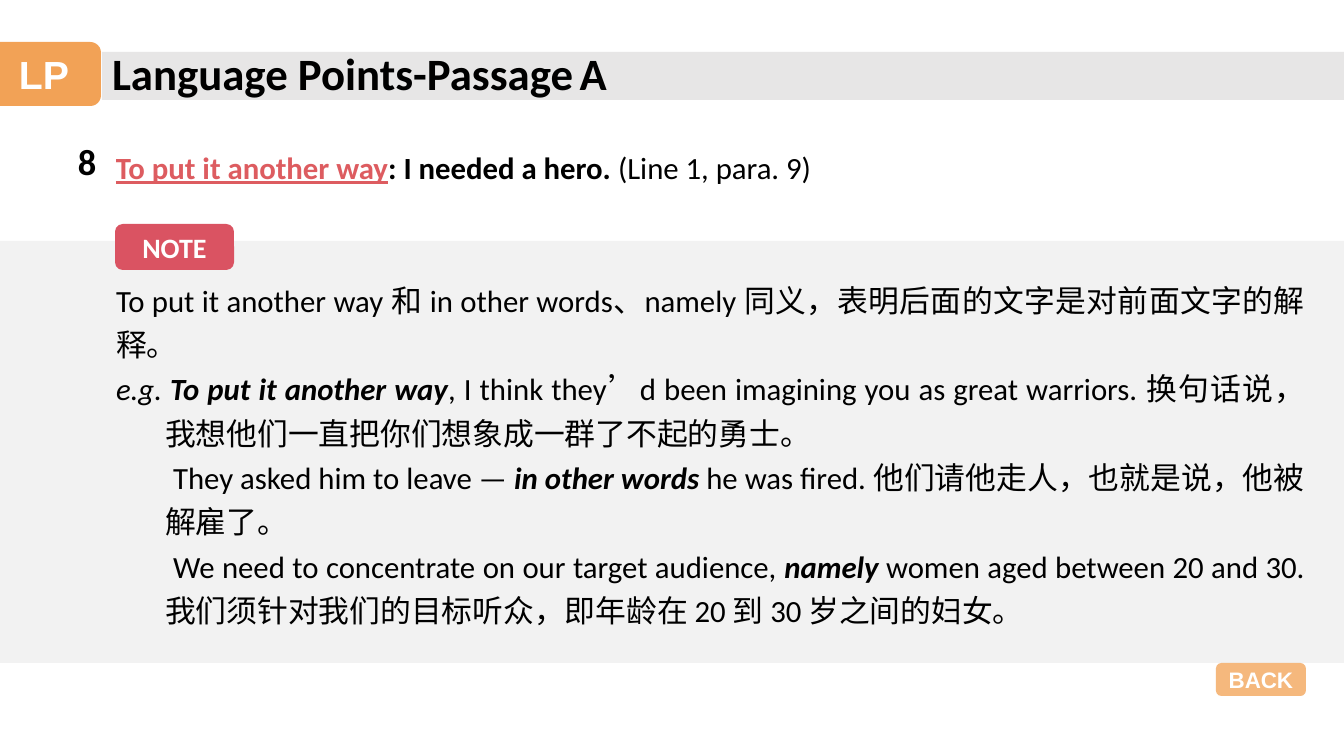
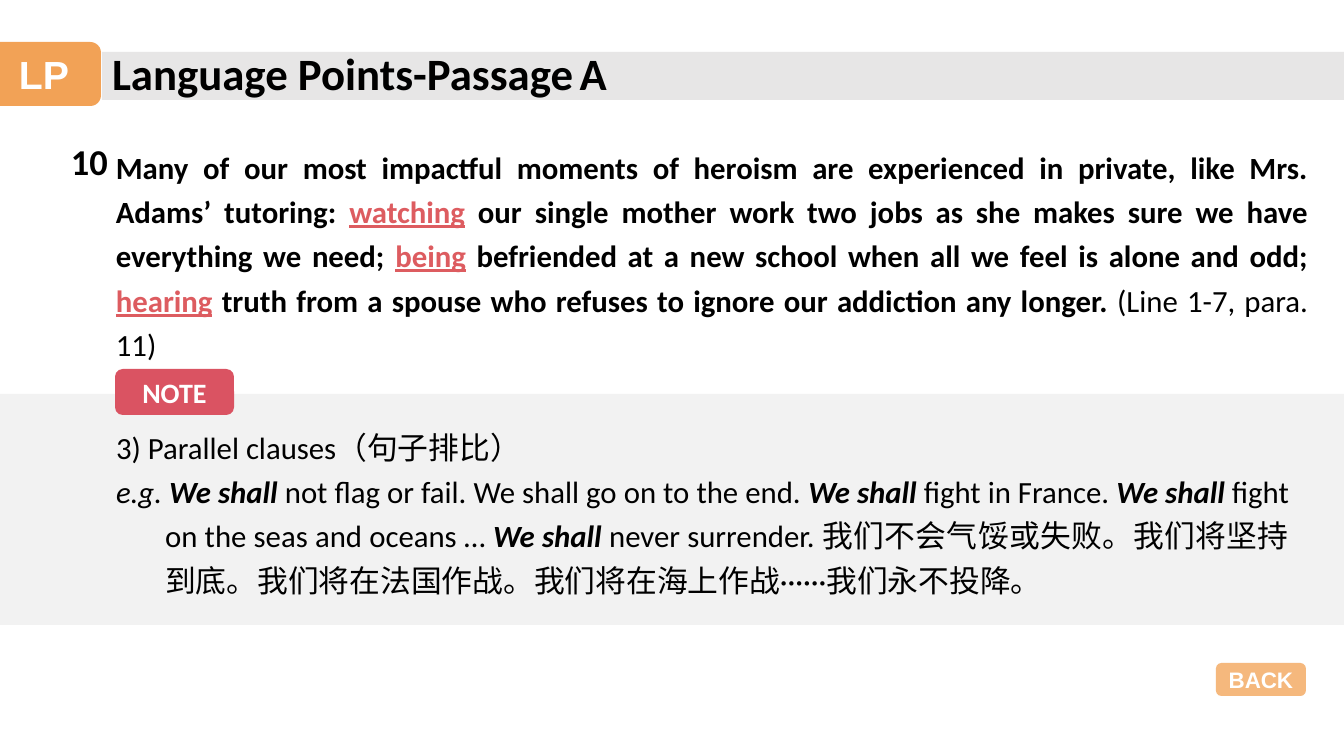
from dataclasses import dataclass

from lxml.etree import SubElement
from pptx import Presentation
from pptx.dml.color import RGBColor
from pptx.enum.shapes import MSO_SHAPE
from pptx.enum.text import MSO_ANCHOR, MSO_AUTO_SIZE, PP_ALIGN
from pptx.oxml.ns import qn
from pptx.util import Emu, Pt

EMU_PER_PX = 914400 / 100.8
PAGE_WIDTH, PAGE_HEIGHT = 1344, 756
HANGING, CONTINUED = (49, -49), (49, 8)


def px(length):
    return Emu(round(length * EMU_PER_PX))


@dataclass(frozen=True)
class Theme:
    ink: str = "000000"
    white: str = "FFFFFF"
    key: str = "DD5C60"
    band: str = "E7E6E6"
    panel: str = "F2F2F2"
    note: str = "DA5362"
    orange: str = "F19B48"
    text_font: str = "Calibri"
    label_font: str = "Arial"
    title_size: int = 32
    title_gap_size: int = 18
    tab_size: int = 28
    number_size: int = 26
    text_size: int = 22
    note_size: int = 20
    back_size: int = 16
    line_spacing: float = 1.2
    tab_opacity: int = 92
    back_opacity: int = 71


@dataclass(frozen=True)
class Span:
    text: str
    bold: bool = False
    italic: bool = False
    key: bool = False


def strong(text):
    return Span(text, bold=True)


def keyword(text):
    return Span(text, bold=True, key=True)


def example(text):
    return Span(text, bold=True, italic=True)


class LessonDeck:
    def __init__(self, theme):
        self.theme = theme
        self.deck = Presentation()
        self.deck.slide_width = px(PAGE_WIDTH)
        self.deck.slide_height = px(PAGE_HEIGHT)
        self.page = None

    def start_page(self):
        theme = self.theme
        self.page = self.deck.slides.add_slide(self.deck.slide_layouts[1])
        self.block(102, 52, PAGE_WIDTH - 102, 48, theme.band)
        self.title()
        self.badge("LP", -13, 42, 114, 64, theme.orange, theme.label_font,
                   theme.tab_size, theme.tab_opacity)

    def add_span(self, paragraph, span, size, color=None, font=None):
        run = paragraph.add_run()
        run.text = span.text
        run.font.name = font or self.theme.text_font
        run.font.size = Pt(size)
        run.font.bold = span.bold
        run.font.italic = span.italic
        run.font.underline = span.key
        default = self.theme.key if span.key else self.theme.ink
        run.font.color.rgb = RGBColor.from_string(color or default)

    def place(self, placeholder, left, top, width, height):
        placeholder.left, placeholder.top = px(left), px(top)
        placeholder.width, placeholder.height = px(width), px(height)
        placeholder.text_frame.auto_size = MSO_AUTO_SIZE.NONE
        placeholder.text_frame.vertical_anchor = MSO_ANCHOR.TOP
        element = placeholder._element
        element.getparent().append(element)

    def title(self):
        theme = self.theme
        box = self.page.shapes.title
        self.place(box, 102, 41, 660, 65)
        paragraph = box.text_frame.paragraphs[0]
        paragraph.alignment = PP_ALIGN.LEFT
        self.add_span(paragraph, strong("Language Points-Passage"), theme.title_size)
        self.add_span(paragraph, Span(" "), theme.title_gap_size)
        self.add_span(paragraph, strong("A"), theme.title_size)

    def block(self, left, top, width, height, color, kind=MSO_SHAPE.RECTANGLE,
              opacity=100):
        shape = self.page.shapes.add_shape(
            kind, px(left), px(top), px(width), px(height))
        shape.shadow.inherit = False
        shape.line.fill.background()
        shape.fill.solid()
        shape.fill.fore_color.rgb = RGBColor.from_string(color)
        if opacity < 100:
            fill = shape._element.spPr.find(qn("a:solidFill"))
            SubElement(fill[0], qn("a:alpha")).set("val", str(opacity * 1000))
        return shape

    def badge(self, text, left, top, width, height, color, font, size, opacity=100):
        shape = self.block(left, top, width, height, color,
                           MSO_SHAPE.ROUNDED_RECTANGLE, opacity)
        shape.text_frame.word_wrap = False
        shape.text_frame.vertical_anchor = MSO_ANCHOR.MIDDLE
        paragraph = shape.text_frame.paragraphs[0]
        paragraph.alignment = PP_ALIGN.CENTER
        self.add_span(paragraph, strong(text), size, self.theme.white, font)

    def fill_paragraph(self, paragraph, spans):
        paragraph.alignment = PP_ALIGN.JUSTIFY
        paragraph.line_spacing = self.theme.line_spacing
        paragraph.space_before = Pt(0)
        for span in spans:
            self.add_span(paragraph, span, self.theme.text_size)

    def text_box(self, left, top, width, height):
        box = self.page.shapes.add_textbox(px(left), px(top), px(width), px(height))
        box.text_frame.word_wrap = True
        return box.text_frame.paragraphs[0]

    def sentence(self, number, number_left, width, height, spans):
        paragraph = self.text_box(number_left, 134, 64, 54)
        self.add_span(paragraph, strong(number), self.theme.number_size)
        self.fill_paragraph(self.text_box(106, 136, width, height), spans)

    def note(self, panel_top, panel_height, badge_top, text_top, text_width,
             text_height, paragraphs):
        theme = self.theme
        self.block(0, panel_top, PAGE_WIDTH, panel_height, theme.panel)
        body = self.page.placeholders[1]
        self.place(body, 106, text_top, text_width, text_height)
        frame = body.text_frame
        for index, ((margin, indent), spans) in enumerate(paragraphs):
            paragraph = frame.add_paragraph() if index else frame.paragraphs[0]
            properties = paragraph._p.get_or_add_pPr()
            properties.set("marL", str(px(margin)))
            properties.set("indent", str(px(indent)))
            SubElement(properties, qn("a:buNone"))
            self.fill_paragraph(paragraph, spans)
        self.badge("NOTE", 115, badge_top, 119, 46, theme.note,
                   theme.text_font, theme.note_size)

    def back_button(self):
        theme = self.theme
        self.badge("BACK", 1216, 663, 90, 33, theme.orange, theme.label_font,
                   theme.back_size, theme.back_opacity)

    def save(self):
        self.deck.save("out.pptx")


def add_rephrasing_page(lesson):
    lesson.start_page()
    lesson.sentence("8", 68, 1186, 52, [
        keyword("To put it another way"),
        strong(": I needed a hero. "),
        Span("(Line 1, para. 9)"),
    ])
    lesson.note(241, 422, 224, 269, 1209, 365, [
        ((0, 0), [
            Span("To put it another way 和 in other words、namely 同义，"
                 "表明后面的文字是对前面文字的解释。"),
        ]),
        (HANGING, [
            Span("e.g. ", italic=True),
            example("To put it another way"),
            Span(", I think they’d been imagining you as great warriors. "
                 "换句话说，我想他们一直把你们想象成一群了不起的勇士。"),
        ]),
        (CONTINUED, [
            Span("They asked him to leave — "),
            example("in other words"),
            Span(" he was fired. 他们请他走人，也就是说，他被解雇了。"),
        ]),
        (CONTINUED, [
            Span("We need to concentrate on our target audience, "),
            example("namely"),
            Span(" women aged between 20 and 30. "
                 "我们须针对我们的目标听众，即年龄在 20 到 30 岁之间的妇女。"),
        ]),
    ])
    lesson.back_button()


def add_parallel_page(lesson):
    lesson.start_page()
    lesson.sentence("10", 61, 1212, 186, [
        strong("Many of our most impactful moments of heroism are experienced "
               "in private, like Mrs. Adams’ tutoring: "),
        keyword("watching"),
        strong(" our single mother work two jobs as she makes sure we have "
               "everything we need; "),
        keyword("being"),
        strong(" befriended at a new school when all we feel is alone and odd; "),
        keyword("hearing"),
        strong(" truth from a spouse who refuses to ignore our addiction "
               "any longer. "),
        Span("(Line 1-7, para. 11)"),
    ])
    lesson.note(394, 231, 369, 416, 1193, 190, [
        ((0, 0), [Span("3) Parallel clauses（句子排比）")]),
        (HANGING, [
            Span("e.g. ", italic=True),
            example("We shall"),
            Span(" not flag or fail. We shall go on to the end. "),
            example("We shall"),
            Span(" fight in France. "),
            example("We shall"),
            Span(" fight on the seas and oceans … "),
            example("We shall"),
            Span(" never surrender. 我们不会气馁或失败。我们将坚持到底。"
                 "我们将在法国作战。我们将在海上作战······我们永不投降。"),
        ]),
    ])
    lesson.back_button()


def main():
    lesson = LessonDeck(Theme())
    add_rephrasing_page(lesson)
    add_parallel_page(lesson)
    lesson.save()


if __name__ == "__main__":
    main()
